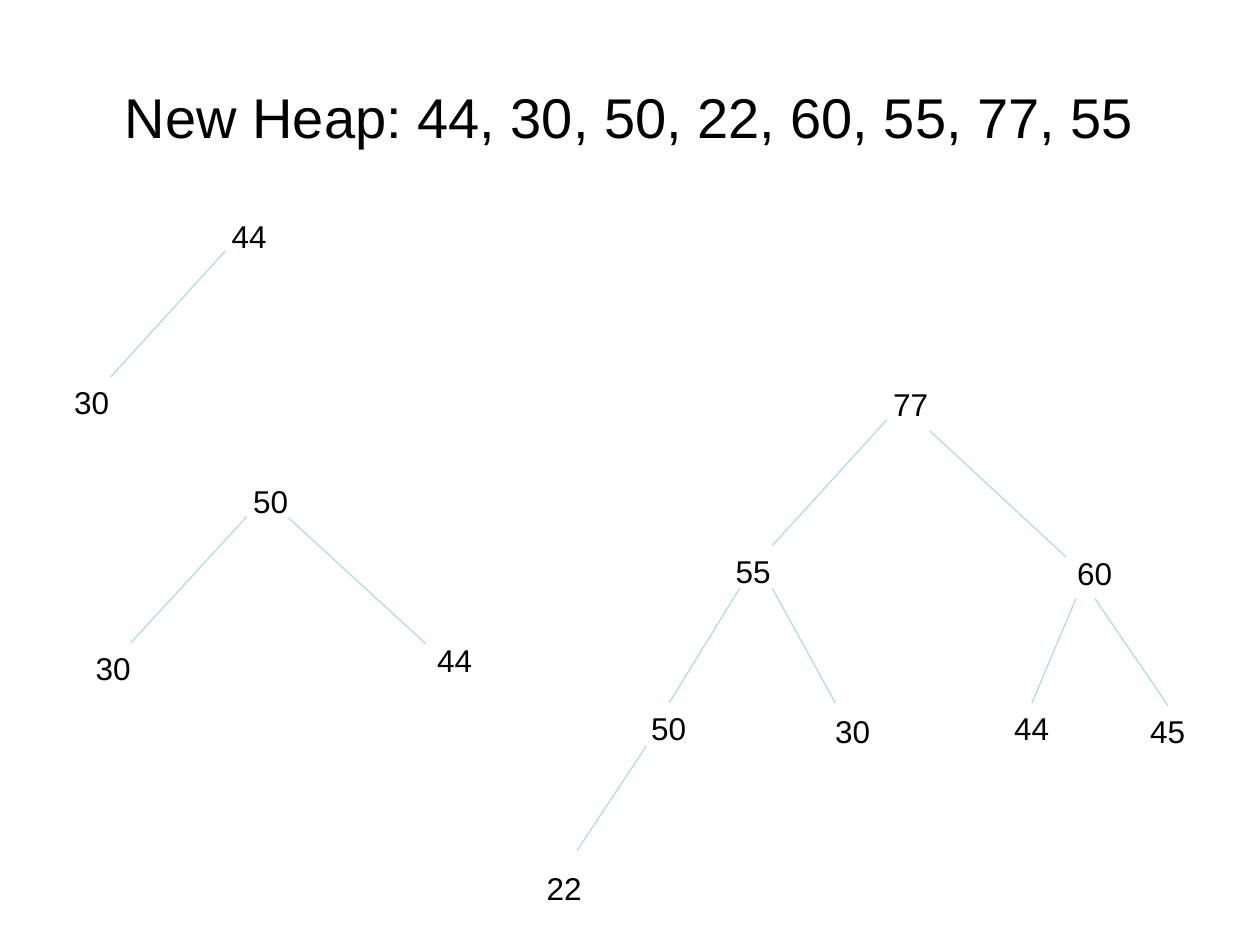
import pptx
import pptx.dml.color
import pptx.enum.shapes
import pptx.enum.text
import pptx.oxml.ns
import pptx.util
from lxml import etree
from pptx.util import Inches

COLORS = {"text": "000000", "edge": "B6DCDF"}
NODE_SIZE = (0.48, 0.4)

FIRST_HEAP = {
    "nodes": [("44", 1.74, 1.67), ("30", 0.49, 2.99)],
    "edges": [((1.79, 1.99), (0.88, 2.99))],
}
SECOND_HEAP = {
    "nodes": [("50", 1.91, 3.78), ("30", 0.66, 5.1), ("44", 3.37, 5.04)],
    "edges": [((1.96, 4.1), (1.04, 5.1)), ((2.29, 4.11), (3.38, 5.11))],
}
FINAL_HEAP = {
    "nodes": [
        ("77", 6.99, 3.01),
        ("55", 5.74, 4.33), ("60", 8.45, 4.35),
        ("50", 5.07, 5.58), ("30", 6.53, 5.6),
        ("44", 7.95, 5.58), ("45", 9.03, 5.6),
        ("22", 4.24, 6.85),
    ],
    "edges": [
        ((7.04, 3.33), (6.13, 4.33)), ((7.38, 3.42), (8.46, 4.42)),
        ((5.87, 4.67), (5.31, 5.58)), ((6.13, 4.67), (6.63, 5.58)),
        ((8.54, 4.75), (8.19, 5.58)), ((8.69, 4.75), (9.27, 5.6)),
        ((5.13, 5.92), (4.58, 6.75)),
    ],
}


def set_values(target, values):
    """Set each named attribute of the target."""
    for name, value in values.items():
        setattr(target, name, value)


def color(name):
    """Return the named palette color."""
    return pptx.dml.color.RGBColor.from_string(COLORS[name])


def add_text(slide, text, box, size, frame_values, alignment):
    """Add a text box holding one paragraph."""
    shape = slide.shapes.add_textbox(*map(Inches, box))
    set_values(shape.text_frame, frame_values)
    paragraph = shape.text_frame.paragraphs[0]
    paragraph.text = text
    paragraph.alignment = alignment
    font = paragraph.runs[0].font
    set_values(font, {"name": "Arial", "size": pptx.util.Pt(size)})
    font.color.rgb = color("text")


def add_title(slide, text):
    """Add the centered slide title."""
    frame_values = {
        "word_wrap": True,
        "vertical_anchor": pptx.enum.text.MSO_ANCHOR.MIDDLE,
    }
    add_text(slide, text, (0.5, 0.3, 9, 1.25), 32, frame_values,
             pptx.enum.text.PP_ALIGN.CENTER)


def add_node(slide, key, left, top):
    """Add the key of one heap node."""
    frame_values = {
        "word_wrap": False,
        "auto_size": pptx.enum.text.MSO_AUTO_SIZE.SHAPE_TO_FIT_TEXT,
    }
    add_text(slide, key, (left, top, *NODE_SIZE), 18, frame_values,
             pptx.enum.text.PP_ALIGN.LEFT)


def add_edge(slide, parent, child):
    """Add the line from a parent to its child."""
    connector = slide.shapes.add_connector(
        pptx.enum.shapes.MSO_CONNECTOR.STRAIGHT, *map(Inches, parent + child))
    connector.line.width = pptx.util.Pt(0.75)
    connector.line.color.rgb = color("edge")
    properties = connector._element.spPr
    etree.SubElement(properties, pptx.oxml.ns.qn("a:effectLst"))


def add_heap(slide, heap):
    """Add the nodes and edges of one heap."""
    for node in heap["nodes"]:
        add_node(slide, *node)
    for edge in heap["edges"]:
        add_edge(slide, *edge)


def main():
    """Build the heap slide and save it."""
    presentation = pptx.Presentation()
    set_values(presentation,
               {"slide_width": Inches(10), "slide_height": Inches(7.5)})
    slide = presentation.slides.add_slide(presentation.slide_layouts[6])
    add_title(slide, "New Heap: 44, 30, 50, 22, 60, 55, 77, 55")
    for heap in (FINAL_HEAP, FIRST_HEAP, SECOND_HEAP):
        add_heap(slide, heap)
    presentation.save("out.pptx")


if __name__ == "__main__":
    main()
